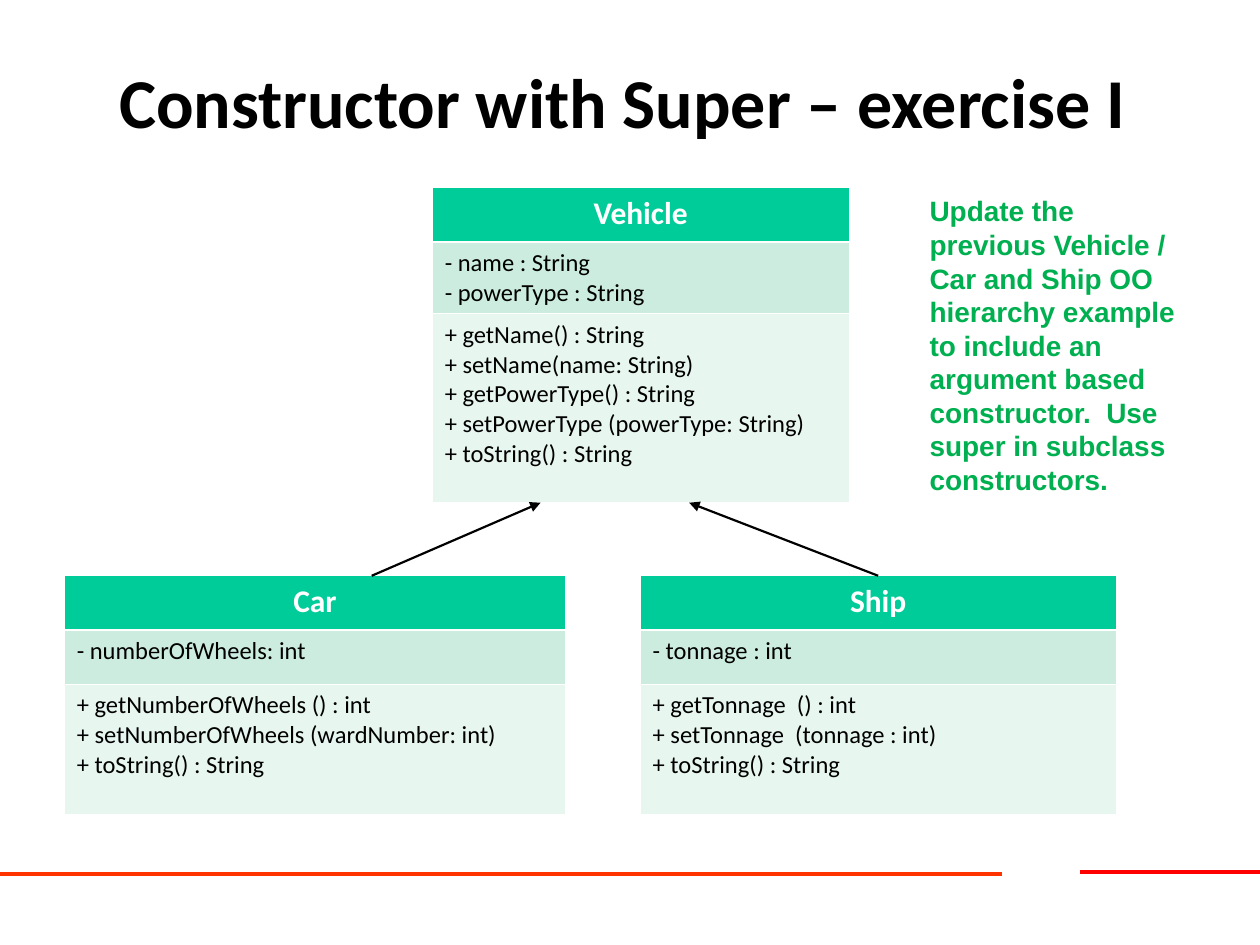
import pptx
import pptx.dml.color
import pptx.enum.shapes
import pptx.enum.text
import pptx.oxml
import pptx.oxml.ns
import pptx.util

COLUMNS, ROWS = 100, 75  # grid over the whole slide
COLORS = {
    "ink": "000000", "white": "FFFFFF", "header": "00CC99",
    "attributes": "CBECDE", "methods": "E7F6EF", "note": "00B050",
    "rule_left": "FF3300", "rule_right": "FF0000",
}
FORMATS = {
    "title": {"name": "Calibri", "size": 40, "bold": True, "color": "ink"},
    "class_name": {"name": "Calibri", "size": 18, "bold": True, "color": "white"},
    "member": {"name": "Calibri", "size": 14, "bold": False, "color": "ink"},
    "note": {"name": "Arial", "size": 16, "bold": True, "color": "note"},
}
CENTER = pptx.enum.text.PP_ALIGN.CENTER
LEFT = pptx.enum.text.PP_ALIGN.LEFT
THIN, THICK = 0.45, 1.47

presentation = pptx.Presentation()
presentation.slide_width = pptx.util.Inches(10)
presentation.slide_height = pptx.util.Inches(7.5)


def across(columns):
    return round(presentation.slide_width * columns / COLUMNS)


def down(rows):
    return round(presentation.slide_height * rows / ROWS)


def grid_box(box):
    left, top, width, height = box
    return across(left), down(top), across(width), down(height)


def rgb(color):
    return pptx.dml.color.RGBColor.from_string(COLORS[color])


def write(frame, lines, style, align=LEFT):
    for index, line in enumerate(lines):
        paragraph = frame.paragraphs[0] if index == 0 else frame.add_paragraph()
        paragraph.alignment = align
        run = paragraph.add_run()
        run.text = line
        for key, value in FORMATS[style].items():
            if key == "color":
                run.font.color.rgb = rgb(value)
            else:
                setattr(run.font, key, pptx.util.Pt(value) if key == "size" else value)


def add_text(slide, box, text, style, align=LEFT, anchor=pptx.enum.text.MSO_ANCHOR.TOP):
    frame = slide.shapes.add_textbox(*grid_box(box)).text_frame
    frame.word_wrap = True
    frame.vertical_anchor = anchor
    write(frame, [text], style, align)


def add_borders(cell, widths):
    """Draw white borders, with widths in points keyed by side: L, R, T, B."""
    properties = cell._tc.get_or_add_tcPr()
    for side, width in widths.items():
        properties.append(pptx.oxml.parse_xml(
            f'<a:ln{side} {pptx.oxml.ns.nsdecls("a")} w="{pptx.util.Pt(width)}">'
            f'<a:solidFill><a:srgbClr val="{COLORS["white"]}"/></a:solidFill></a:ln{side}>'))


def add_class(slide, box, row_heights, name, attributes, methods):
    """Place a class as a table of name, attributes and methods."""
    table = slide.shapes.add_table(3, 1, *grid_box(box)).table
    compartments = [
        ("header", [name], "class_name", CENTER, THIN, THICK),
        ("attributes", attributes, "member", LEFT, THICK, THIN),
        ("methods", methods, "member", LEFT, THIN, THIN),
    ]
    for index, (fill, lines, style, align, top, bottom) in enumerate(compartments):
        table.rows[index].height = down(row_heights[index])
        cell = table.cell(index, 0)
        add_borders(cell, {"L": THIN, "R": THIN, "T": top, "B": bottom})
        cell.fill.solid()
        cell.fill.fore_color.rgb = rgb(fill)
        write(cell.text_frame, lines, style, align)


def add_line(slide, start, end, color, width, arrow=False):
    line = slide.shapes.add_connector(
        pptx.enum.shapes.MSO_CONNECTOR.STRAIGHT,
        across(start[0]), down(start[1]), across(end[0]), down(end[1]))
    line.line.color.rgb = rgb(color)
    line.line.width = pptx.util.Pt(width)
    if arrow:
        line.line._get_or_add_ln().append(pptx.oxml.parse_xml(
            f'<a:tailEnd {pptx.oxml.ns.nsdecls("a")} type="triangle"/>'))
    line._element.spPr.append(pptx.oxml.parse_xml(
        f'<a:effectLst {pptx.oxml.ns.nsdecls("a")}/>'))


def add_footer_rules(slide):
    add_line(slide, (85.7, 69.2), (COLUMNS, 69.2), "rule_right", 2.25)
    add_line(slide, (0, 69.4), (79.5, 69.4), "rule_left", 2.25)


def add_hierarchy(slide, parent_top, child_top):
    parent_rows, child_rows = (4.3, 5.7, 15), (4.3, 4.3, 10.3)
    parent_height, child_height = sum(parent_rows), sum(child_rows)
    add_class(slide, (34.3, parent_top, 33.1, parent_height), parent_rows, "Vehicle",
              ["- name : String", "- powerType : String"],
              ["+ getName() : String", "+ setName(name: String)",
               "+ getPowerType() : String", "+ setPowerType (powerType: String)",
               "+ toString() : String"])
    add_class(slide, (5.1, child_top, 39.8, child_height), child_rows, "Car",
              ["- numberOfWheels: int"],
              ["+ getNumberOfWheels () : int",
               "+ setNumberOfWheels (wardNumber: int)", "+ toString() : String"])
    add_class(slide, (50.8, child_top, 37.8, child_height), child_rows, "Ship",
              ["- tonnage : int"],
              ["+ getTonnage  () : int", "+ setTonnage  (tonnage : int)",
               "+ toString() : String"])
    parent_bottom = parent_top + parent_height
    for child_x, parent_x in ((29.5, 42.9), (69.7, 54.7)):
        add_line(slide, (child_x, child_top), (parent_x, parent_bottom), "ink", 1.25, arrow=True)


def main():
    slide = presentation.slides.add_slide(presentation.slide_layouts[6])
    add_footer_rules(slide)
    add_text(slide, (7.5, 3.6, 85, 8.7), "Constructor with Super – exercise I ", "title",
             CENTER, pptx.enum.text.MSO_ANCHOR.MIDDLE)
    add_hierarchy(slide, parent_top=14.9, child_top=45.7)
    add_text(slide, (72.8, 14.9, 22, 25),
             "Update the previous Vehicle / Car and Ship OO hierarchy example to include "
             "an argument based constructor.  Use super in subclass constructors.", "note")
    presentation.save("out.pptx")


if __name__ == "__main__":
    main()
